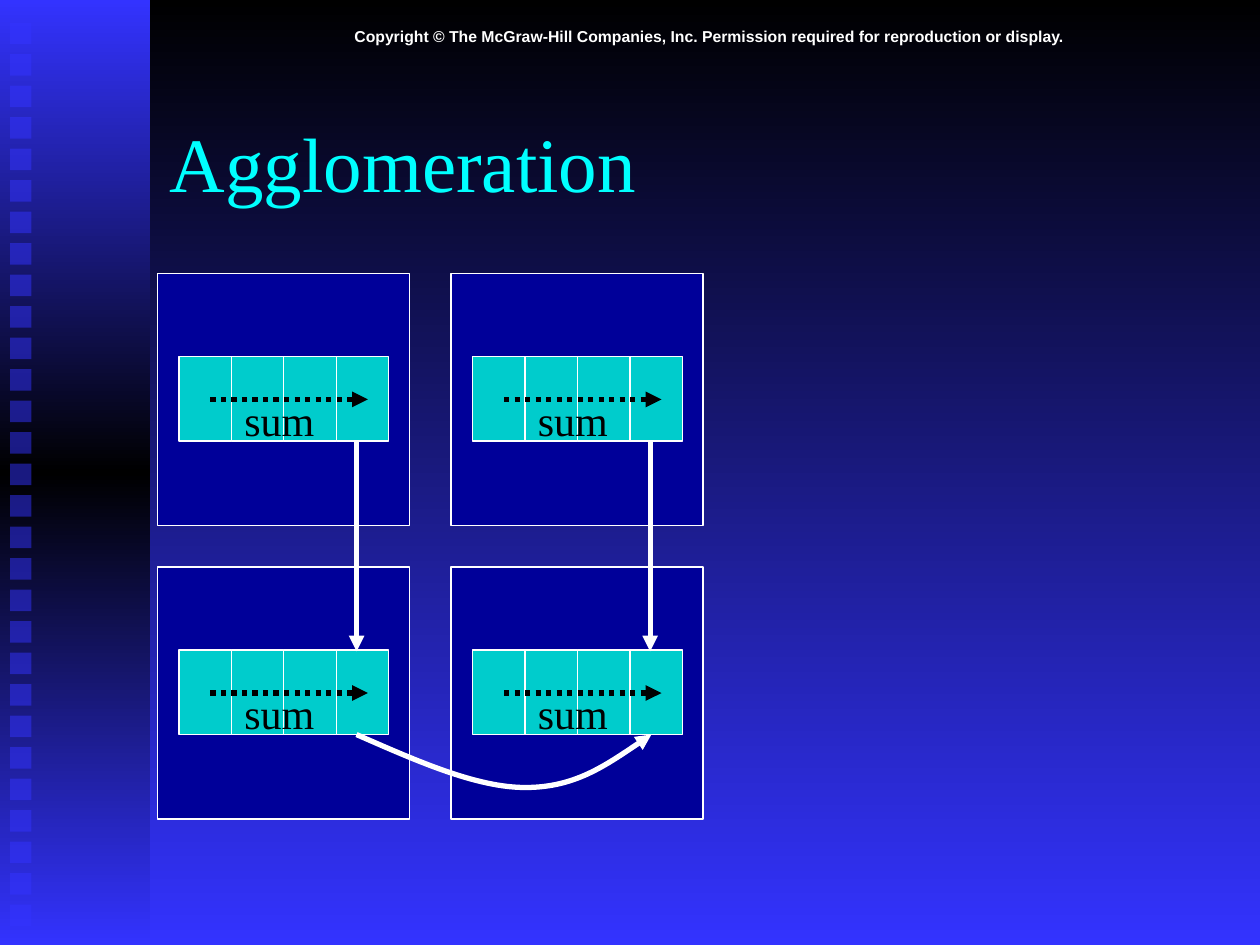
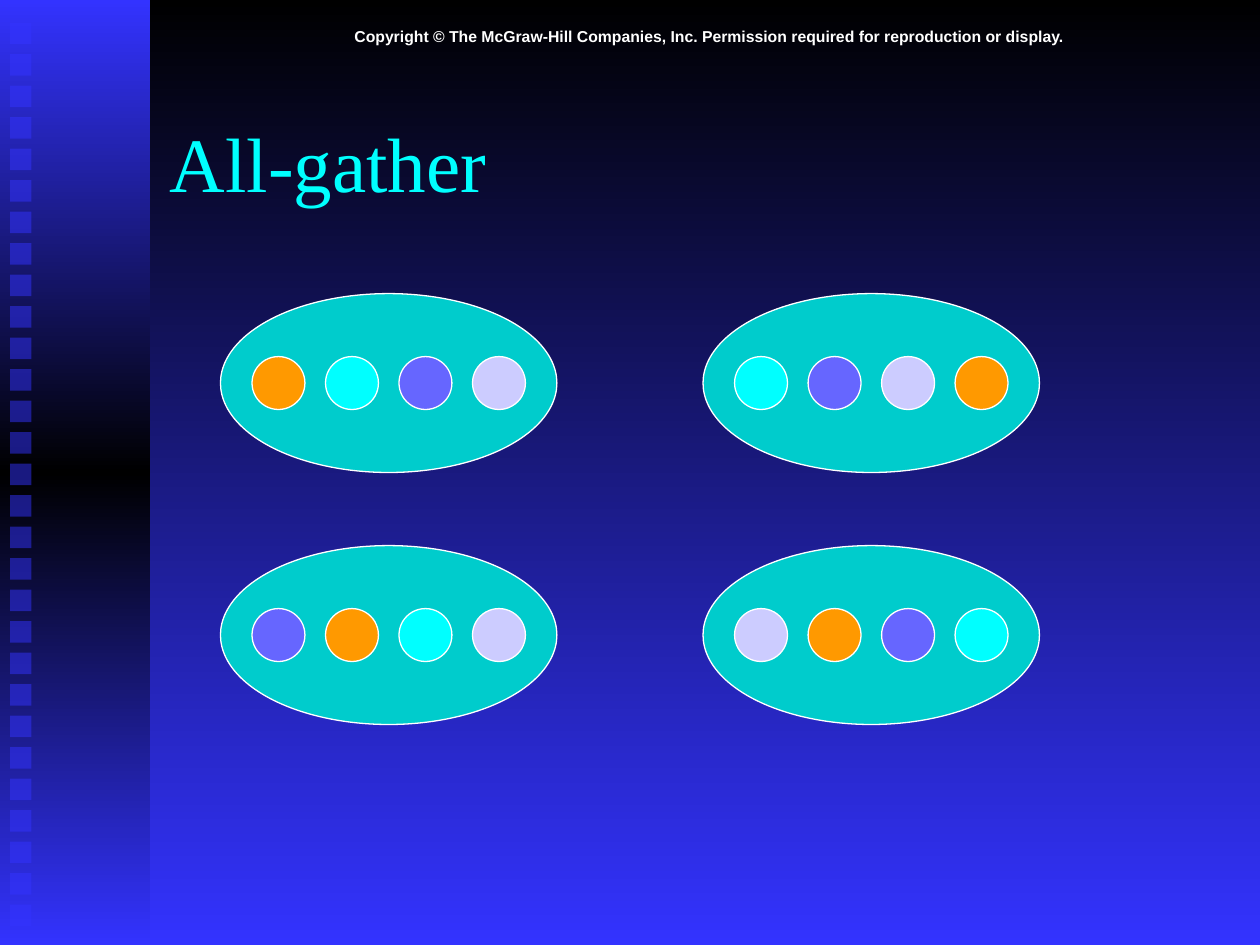
from itertools import product

from lxml.etree import SubElement
from pptx import Presentation
from pptx.dml.color import RGBColor
from pptx.enum.dml import MSO_LINE as Dash
from pptx.enum.shapes import MSO_CONNECTOR as Link, MSO_SHAPE as Form
from pptx.enum.text import MSO_ANCHOR as Anchor, PP_ALIGN as Align
from pptx.oxml.ns import qn
from pptx.util import Inches, Pt

BLACK, WHITE, BLUE, NAVY = "000000", "FFFFFF", "3333FF", "000099"
TEAL, CYAN, ORANGE, VIOLET, LILAC = "00CCCC", "00FFFF", "FF9900", "6666FF", "CCCCFF"
NOTICE = ("Copyright © The McGraw-Hill Companies, Inc. "
          "Permission required for reproduction or display.")


def color(code):
    return RGBColor.from_string(code)


class Deck:
    serif, sans = "Times New Roman", "Arial"

    def __init__(self):
        self.file = Presentation()
        self.file.slide_width = Inches(10)
        self.file.slide_height = Inches(7.5)

    def page(self, title):
        self.slide = self.file.slides.add_slide(self.file.slide_layouts[6])
        self.shapes = self.slide.shapes
        self.fade(self.slide.background.fill, self.slide.element, BLACK, BLUE)
        band = self.shape(Form.RECTANGLE, 0, 0, 1.19, 7.5)
        self.fade(band.fill, band.element, BLUE, BLACK, BLUE)
        for row in range(29):
            self.shape(Form.RECTANGLE, 0.08, 0.18 + row * 0.25, 0.17, 0.17, BLUE, alpha=50)
        note = self.text(NOTICE, 1.25, 0.16, 8.75, 0.25, 9, WHITE, self.sans)
        note.alignment = Align.CENTER
        note.font.bold = True
        self.text(title, 1.25, 0.66, 8.5, 1.25, 44, CYAN, anchor=Anchor.MIDDLE)

    def fade(self, fill, root, *codes):
        fill.gradient()
        fill.gradient_angle = 270
        stops = next(root.iter(qn("a:gsLst")))
        stops.clear()
        for spot, code in enumerate(codes):
            stop = SubElement(stops, qn("a:gs"), pos=str(spot * 100000 // (len(codes) - 1)))
            SubElement(stop, qn("a:srgbClr"), val=code)

    def shape(self, form, x, y, w, h, fill=None, line=None, alpha=None):
        item = self.shapes.add_shape(form, Inches(x), Inches(y), Inches(w), Inches(h))
        item.shadow.inherit = False
        if fill:
            item.fill.solid()
            item.fill.fore_color.rgb = color(fill)
        if alpha:
            tint = next(item.element.spPr.iter(qn("a:srgbClr")))
            SubElement(tint, qn("a:alpha"), val=str(alpha * 1000))
        if line:
            self.stroke(item, line, 0.75)
        else:
            item.line.fill.background()
        return item

    def text(self, words, x, y, w, h, size, ink, face=serif, anchor=Anchor.TOP):
        frame = self.shapes.add_textbox(Inches(x), Inches(y), Inches(w), Inches(h)).text_frame
        frame.word_wrap = True
        frame.vertical_anchor = anchor
        para = frame.paragraphs[0]
        para.text = words
        para.font.size = Pt(size)
        para.font.name = face
        para.font.color.rgb = color(ink)
        return para

    def stroke(self, item, ink, width, dash=None, head=False):
        item.line.color.rgb = color(ink)
        item.line.width = Pt(width)
        if dash:
            item.line.dash_style = dash
        if head:
            SubElement(next(item.element.iter(qn("a:ln"))), qn("a:tailEnd"), type="triangle")

    def arrow(self, x, y, to_x, to_y, ink, dash=None):
        item = self.shapes.add_connector(
            Link.STRAIGHT, Inches(x), Inches(y), Inches(to_x), Inches(to_y))
        self.stroke(item, ink, 3, dash, head=True)
        SubElement(item.element.spPr, qn("a:effectLst"))

    def curve(self, start, *points):
        pen = self.shapes.build_freeform(Inches(start[0]), Inches(start[1]))
        pen.add_line_segments([(Inches(x), Inches(y)) for x, y in points], close=False)
        item = pen.convert_to_shape()
        item.shadow.inherit = False
        item.fill.background()
        self.stroke(item, WHITE, 3, head=True)
        track = next(item.element.iter(qn("a:path")))
        steps = track.findall(qn("a:lnTo"))
        for first in range(0, len(steps), 3):
            bend = SubElement(track, qn("a:cubicBezTo"))
            for step in steps[first:first + 3]:
                bend.append(step[0])
                track.remove(step)


def merge(deck):
    deck.page("Agglomeration")
    lefts, tops = (1.25, 3.58), (2.17, 4.5)
    for x, y in product(lefts, tops):
        deck.shape(Form.RECTANGLE, x, y, 2, 2, NAVY, WHITE)
        for cell in range(4):
            deck.shape(Form.RECTANGLE, x + 0.17 + cell * 1.25 / 3, y + 0.66,
                       1.25 / 3, 0.67, TEAL, WHITE)
        deck.text("sum", x + 0.59, y + 0.91, 0.85, 0.5, 24, BLACK)
        deck.arrow(x + 0.42, y + 1, x + 1.67, y + 1, BLACK, Dash.ROUND_DOT)
    for x in lefts:
        deck.arrow(x + 1.58, 3.5, x + 1.58, 5.17, WHITE)
    deck.curve((2.83, 5.83), (3.31, 6.04), (3.78, 6.25), (4.17, 6.25),
               (4.56, 6.25), (4.86, 6.04), (5.17, 5.83))


def gather(deck):
    deck.page("All-gather")
    sets = (
        (ORANGE, CYAN, VIOLET, LILAC),
        (CYAN, VIOLET, LILAC, ORANGE),
        (VIOLET, ORANGE, CYAN, LILAC),
        (LILAC, ORANGE, VIOLET, CYAN),
    )
    for (y, x), inks in zip(product((2.33, 4.33), (1.75, 5.58)), sets):
        deck.shape(Form.OVAL, x, y, 2.67, 1.42, TEAL, WHITE)
        for spot, ink in enumerate(inks):
            deck.shape(Form.OVAL, x + 0.25 + spot * 1.75 / 3, y + 0.5, 0.42, 0.42, ink, WHITE)


def main():
    deck = Deck()
    merge(deck)
    gather(deck)
    deck.file.save("out.pptx")


if __name__ == "__main__":
    main()
